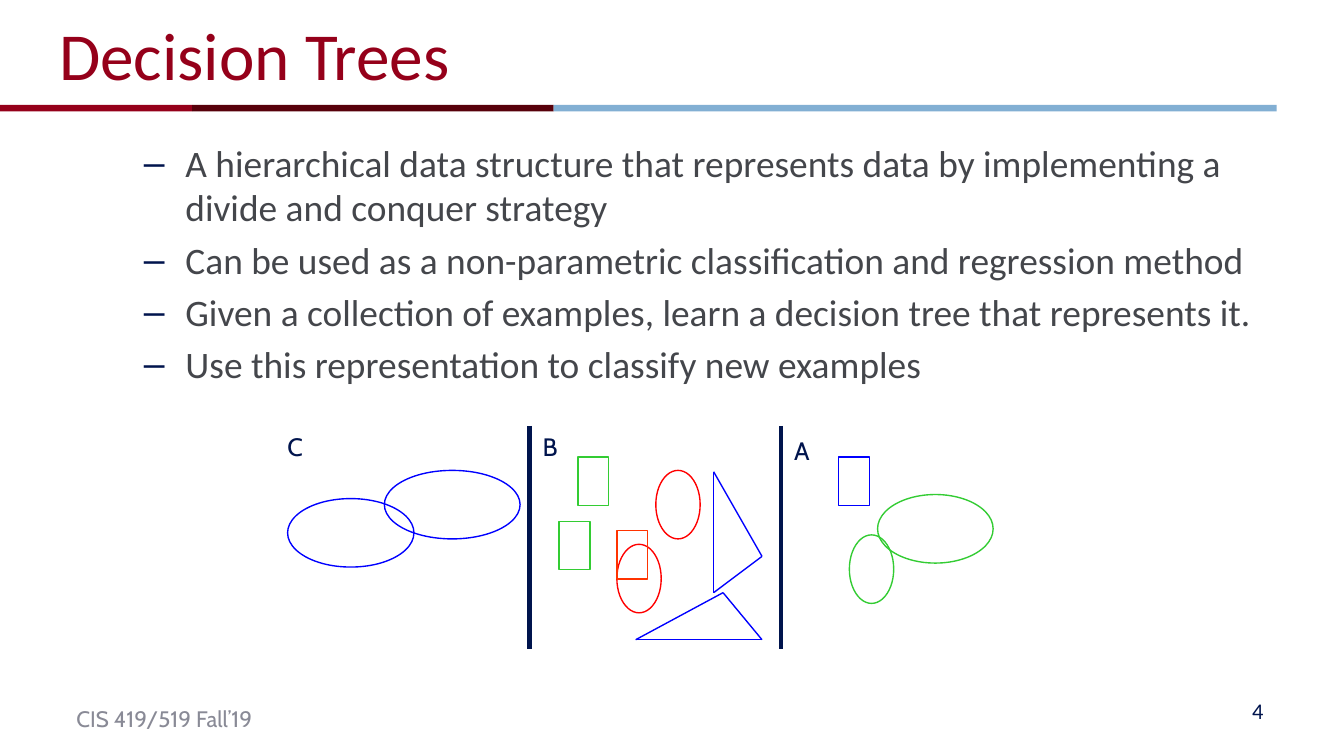
import pptx
import pptx.dml.color
import pptx.enum.shapes
import pptx.enum.text
import pptx.oxml
import pptx.oxml.ns
import pptx.util

PX = 9144  # EMU per px, 100 px to the inch
COLORS = {
    "crimson": "95001A", "maroon": "57000A", "sky": "82AFD3",
    "navy": "00144D", "text": "44464B", "gray": "898A96",
    "red": "FF0000", "orange": "FF3300", "green": "33CC33", "blue": "0000FF",
}
SHAPE = pptx.enum.shapes.MSO_SHAPE
ALIGN = pptx.enum.text.PP_ALIGN
ANCHOR = pptx.enum.text.MSO_ANCHOR


def px(*lengths):
    return [pptx.util.Emu(length * PX) for length in lengths]


def color(name):
    return pptx.dml.color.RGBColor.from_string(COLORS[name])


def add_run(paragraph, text, size, font, color_name):
    run = paragraph.add_run()
    run.text = text
    run.font.size = pptx.util.Pt(size)
    run.font.name = font
    run.font.color.rgb = color(color_name)


def add_label(slide, box, text, size, font, color_name, align=ALIGN.LEFT, wrap=True):
    shape = slide.shapes.add_textbox(*px(*box))
    shape.text_frame.word_wrap = wrap
    paragraph = shape.text_frame.paragraphs[0]
    paragraph.alignment = align
    add_run(paragraph, text, size, font, color_name)
    return shape


def add_outline(slide, kind, box, color_name):
    shape = slide.shapes.add_shape(kind, *px(*box))
    shape.shadow.inherit = False
    shape.fill.background()
    shape.line.color.rgb = color(color_name)
    shape.line.width = pptx.util.Pt(0.75)


def add_line(slide, start, end, color_name, width):
    line = slide.shapes.add_connector(
        pptx.enum.shapes.MSO_CONNECTOR.STRAIGHT, *px(*start, *end))
    line.line.color.rgb = color(color_name)
    line.line.width = pptx.util.Pt(width)
    effects = pptx.oxml.parse_xml(
        f"<a:effectLst {pptx.oxml.ns.nsdecls('a')}/>")
    line._element.spPr.append(effects)


def place_placeholder(shape, box, anchor):
    shape.left, shape.top, shape.width, shape.height = px(*box)
    frame = shape.text_frame
    frame.auto_size = pptx.enum.text.MSO_AUTO_SIZE.NONE
    frame.vertical_anchor = anchor
    return frame


def add_title(slide, box, text):
    frame = place_placeholder(slide.shapes.title, box, ANCHOR.MIDDLE)
    frame.paragraphs[0].alignment = ALIGN.LEFT
    add_run(frame.paragraphs[0], text, 36, "Calibri", "crimson")


def add_rule(slide, box):
    left, top, _, height = box
    for width, name in ((144, "crimson"), (269, "maroon"), (538, "sky")):
        bar = slide.shapes.add_shape(SHAPE.RECTANGLE, *px(left, top, width, height))
        bar.shadow.inherit = False
        bar.fill.solid()
        bar.fill.fore_color.rgb = color(name)
        bar.line.fill.background()
        left += width


def add_bullets(slide, box, lines):
    frame = place_placeholder(slide.placeholders[1], box, ANCHOR.TOP)
    for index, text in enumerate(lines):
        paragraph = frame.add_paragraph() if index else frame.paragraphs[0]
        paragraph.level = 1
        properties = paragraph._p.get_or_add_pPr()
        properties.set("marL", str(81 * PX))
        properties.set("indent", str(-31 * PX))
        namespace = pptx.oxml.ns.nsdecls("a")
        for xml in (
            f'<a:buClr {namespace}><a:srgbClr val="{COLORS["navy"]}"/></a:buClr>',
            f'<a:buChar {namespace} char="–"/>',
        ):
            properties.append(pptx.oxml.parse_xml(xml))
        add_run(paragraph, text, 20, "Calibri", "text")


def add_figure(slide, box):
    left, top, _, height = box

    # Ellipses and rectangles of the three classes
    outlines = (
        (SHAPE.OVAL, 33, 51, ((255, 89, "red"), (284, 34, "red"), (428, 82, "green"))),
        (SHAPE.RECTANGLE, 23, 36, ((420, 24, "blue"), (226, 24, "green"),
                                   (212, 72, "green"), (255, 79, "orange"))),
        (SHAPE.OVAL, 94, 51, ((10, 55, "blue"),)),
        (SHAPE.OVAL, 101, 51, ((82, 34, "blue"),)),
        (SHAPE.OVAL, 86, 51, ((449, 52, "green"),)),
    )
    for kind, width, tall, places in outlines:
        for x, y, name in places:
            add_outline(slide, kind, (left + x, top + y, width, tall), name)

    # Triangles, each drawn as three lines
    for corners in (((334, 125), (269, 160), (363, 160)),
                    ((327, 35), (363, 98), (327, 125))):
        points = [(left + x, top + y) for x, y in corners]
        for start, end in zip(points, points[1:] + points[:1]):
            add_line(slide, start, end, "blue", 0.75)

    # Dividers between the classes
    for x in (190, 377):
        add_line(slide, (left + x, top + 1), (left + x, top + height), "navy", 2.25)

    # Class names
    for x, y, text in ((0, 0, "C"), (190, 0, "B"), (377, 3, "A")):
        add_label(slide, (left + x, top + y, 33, 33), text, 13.5, "Cabin", "navy")


def add_footer(slide, box):
    left, top, width, _ = box
    add_label(slide, (left, top + 6, 152, 30), "CIS 419/519 Fall’19",
              12, "Cabin", "gray", wrap=False)
    number = add_label(slide, (left + width - 233, top, 233, 30), "4",
                       12, "Calibri", "navy", ALIGN.RIGHT)
    number.text_frame.vertical_anchor = ANCHOR.MIDDLE


def main():
    # Widescreen slide, 16:9
    presentation = pptx.Presentation()
    presentation.slide_width, = px(1000)
    presentation.slide_height = presentation.slide_width * 9 // 16
    slide = presentation.slides.add_slide(presentation.slide_layouts[1])

    add_rule(slide, (-1, 78, 951, 5))
    add_title(slide, (34, 2, 900, 76), "Decision Trees")
    add_bullets(slide, (47, 99, 900, 404), (
        "A hierarchical data structure that represents data by implementing "
        "a divide and conquer strategy",
        "Can be used as a non-parametric classification and regression method",
        "Given a collection of examples, learn a decision tree that represents it.",
        "Use this representation to classify new examples",
    ))
    add_figure(slide, (204, 316, 535, 167))
    add_footer(slide, (47, 514, 903, 36))
    presentation.save("out.pptx")


if __name__ == "__main__":
    main()
